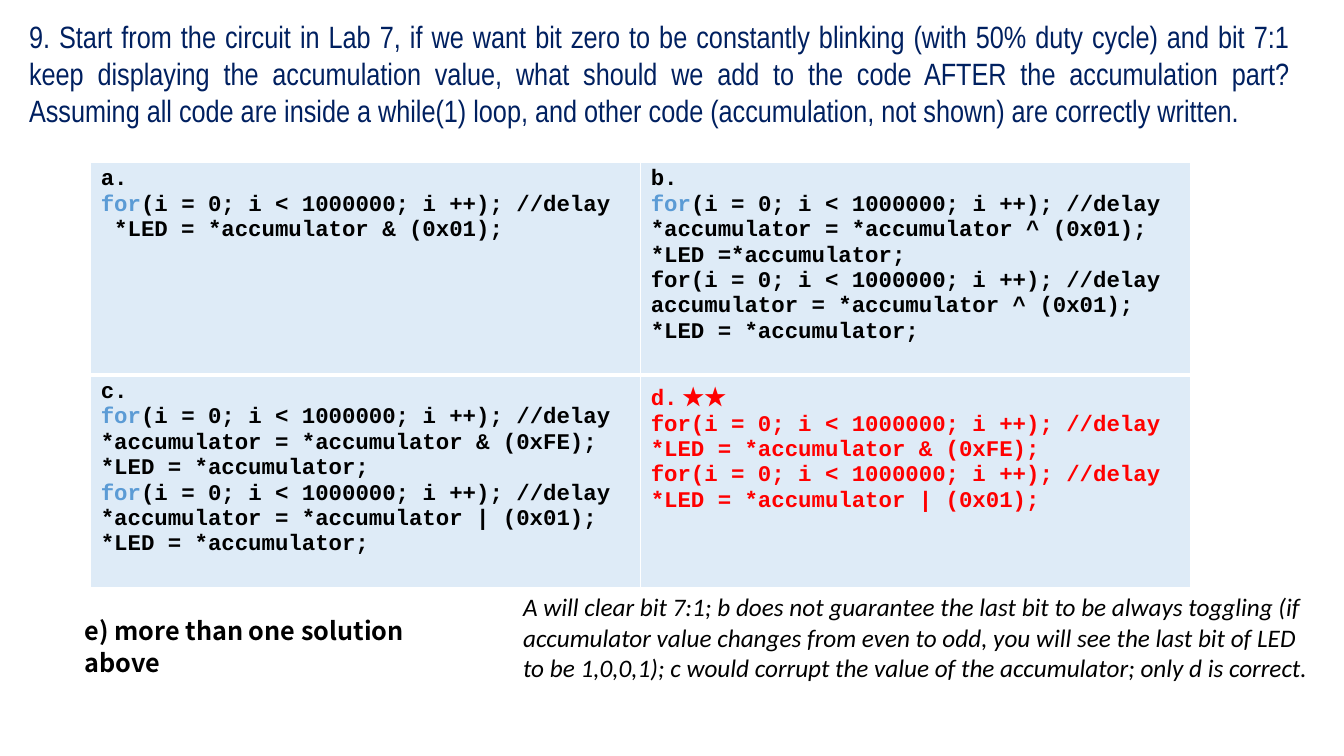
from lxml import etree
from pptx import Presentation
from pptx.dml.color import RGBColor
from pptx.enum.text import PP_ALIGN
from pptx.oxml.ns import qn
from pptx.util import Inches, Pt

JUSTIFY = PP_ALIGN.JUSTIFY
COLORS = {
    "navy": "002060",
    "black": "000000",
    "keyword": "5B9BD5",
    "answer": "FF0000",
    "cell": "DEEBF7",
    "border": "FFFFFF",
}

CODE = {"name": "Courier New", "size": Pt(16), "bold": True, "color": "black"}
KEYWORD = {**CODE, "color": "keyword"}
ANSWER = {**CODE, "color": "answer"}
STARS = {**ANSWER, "name": "Noto Sans CJK JP", "bold": False}
QUESTION = {"name": "Arial Narrow", "size": Pt(22), "color": "navy"}
OPTION_E = {"name": "Noto Sans CJK JP", "size": Pt(18), "bold": True, "color": "black"}
EXPLANATION = {"name": "Calibri", "size": Pt(18), "italic": True, "color": "black"}

QUESTION_TEXT = (
    "9. Start from the circuit in Lab 7, if we want bit zero to be constantly blinking "
    "(with 50% duty cycle) and bit 7:1 keep displaying the accumulation value, what should "
    "we add to the code AFTER the accumulation part? Assuming all code are inside a while(1) "
    "loop, and other code (accumulation, not shown) are correctly written."
)
EXPLANATION_TEXT = (
    "A will clear bit 7:1; b does not guarantee the last bit to be always toggling (if "
    "accumulator value changes from even to odd, you will see the last bit of LED to be "
    "1,0,0,1); c would corrupt the value of the accumulator; only d is correct."
)

# A line is a list of (text, format) runs.
DELAY = "(i = 0; i < 1000000; i ++); //delay"
DELAY_LOOP = [("for", KEYWORD), (DELAY, CODE)]
SHOW_LED = [("*LED = *accumulator;", CODE)]
OPTION_A = [
    [("a.", CODE)],
    DELAY_LOOP,
    [(" *LED = *accumulator & (0x01);", CODE)],
]
OPTION_B = [
    [("b.", CODE)],
    DELAY_LOOP,
    [("*accumulator = *accumulator ^ (0x01);", CODE)],
    [("*LED =*accumulator;", CODE)],
    [("for" + DELAY, CODE)],
    [("accumulator = *accumulator ^ (0x01);", CODE)],
    SHOW_LED,
]
OPTION_C = [
    [("c.", CODE)],
    DELAY_LOOP,
    [("*accumulator = *accumulator & (0xFE);", CODE)],
    SHOW_LED,
    DELAY_LOOP,
    [("*accumulator = *accumulator | (0x01);", CODE)],
    SHOW_LED,
]
OPTION_D = [
    [("d.", ANSWER), (" ★★", STARS)],
    [("for" + DELAY, ANSWER)],
    [("*LED = *accumulator & (0xFE);", ANSWER)],
    [("for" + DELAY, ANSWER)],
    [("*LED = *accumulator | (0x01);", ANSWER)],
]
OPTIONS = [[OPTION_A, OPTION_B], [OPTION_C, OPTION_D]]


def add_run(paragraph, text, font_format):
    run = paragraph.add_run()
    run.text = text
    for name, value in font_format.items():
        if name == "color":
            run.font.color.rgb = RGBColor.from_string(COLORS[value])
        else:
            setattr(run.font, name, value)


def write_lines(text_frame, lines):
    for index, line in enumerate(lines):
        paragraph = text_frame.add_paragraph() if index else text_frame.paragraphs[0]
        for text, font_format in line:
            add_run(paragraph, text, font_format)


def add_text(slide, box, text, font_format, paragraph_format):
    shape = slide.shapes.add_textbox(*map(Inches, box))
    shape.text_frame.word_wrap = True
    write_lines(shape.text_frame, [[(text, font_format)]])
    for name, value in paragraph_format.items():
        setattr(shape.text_frame.paragraphs[0], name, value)


def set_borders(cell, widths):
    """Draw the cell borders; widths maps a side (L, R, T, B) to points."""
    properties = cell._tc.get_or_add_tcPr()
    for index, (side, width) in enumerate(widths.items()):
        line = etree.Element(qn(f"a:ln{side}"), w=str(Pt(width)))
        fill = etree.SubElement(line, qn("a:solidFill"))
        etree.SubElement(fill, qn("a:srgbClr"), val=COLORS["border"])
        properties.insert(index, line)


def add_options_table(slide, box, options):
    rows, columns = len(options), len(options[0])
    table = slide.shapes.add_table(rows, columns, *map(Inches, box)).table
    table.first_row = False
    table.horz_banding = False
    for row, row_options in enumerate(options):
        for column, lines in enumerate(row_options):
            cell = table.cell(row, column)
            cell.fill.solid()
            cell.fill.fore_color.rgb = RGBColor.from_string(COLORS["cell"])
            top, bottom = (1, 3) if row == 0 else (3, 1)
            set_borders(cell, {"L": 1, "R": 1, "T": top, "B": bottom})
            write_lines(cell.text_frame, lines)


def main():
    presentation = Presentation()
    presentation.slide_width = Inches(13.33)
    presentation.slide_height = Inches(7.5)
    slide = presentation.slides.add_slide(presentation.slide_layouts[6])

    add_text(slide, (0.19, 0.13, 12.7, 1.21), QUESTION_TEXT, QUESTION, {"alignment": JUSTIFY})
    add_options_table(slide, (0.9, 1.61, 10.91, 4.22), OPTIONS)
    add_text(slide, (0.74, 6.03, 3.69, 0.84), "e) more than one solution above", OPTION_E,
             {"line_spacing": 1.07, "space_after": Pt(8)})
    add_text(slide, (5.09, 5.82, 8.11, 1.62), EXPLANATION_TEXT, EXPLANATION, {})

    presentation.save("out.pptx")


if __name__ == "__main__":
    main()
